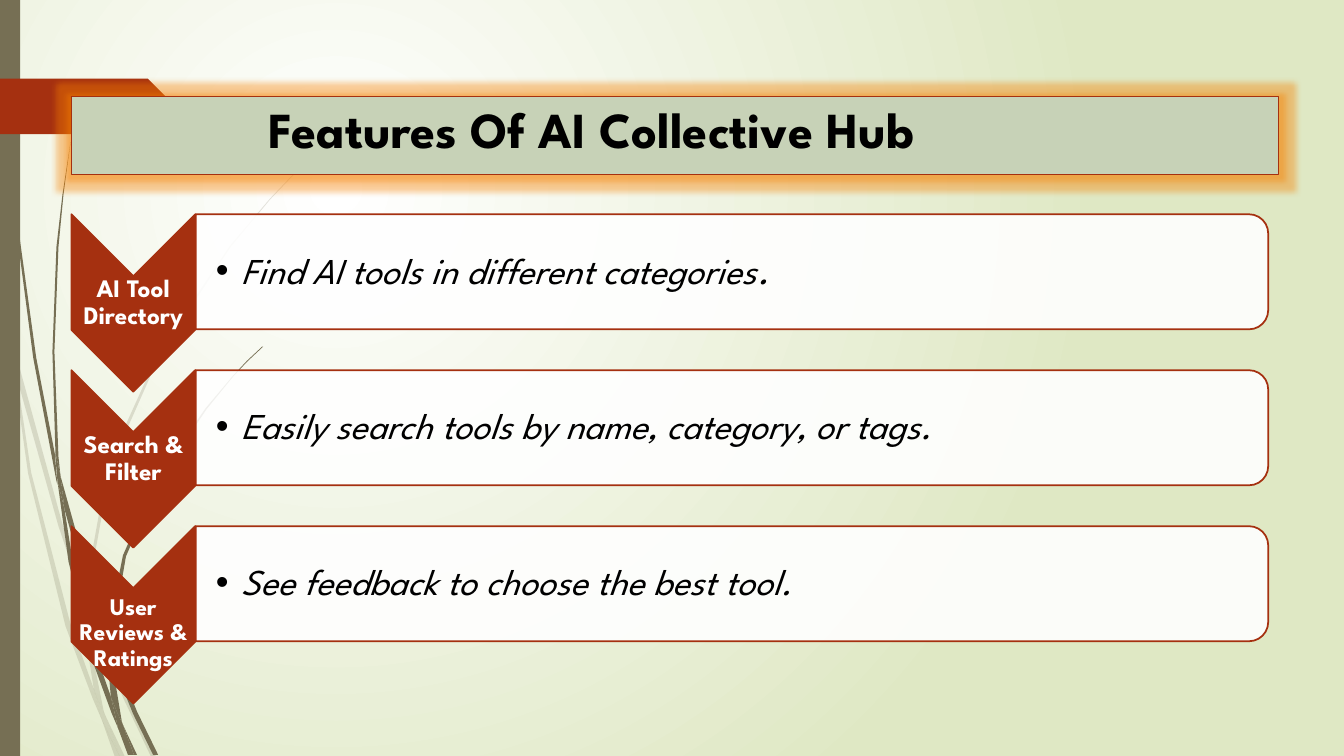
from lxml import etree
from pptx import Presentation
from pptx.dml.color import RGBColor
from pptx.enum.shapes import MSO_SHAPE
from pptx.enum.text import MSO_ANCHOR, PP_ALIGN
from pptx.oxml.ns import qn
from pptx.util import Cm, Pt

RECT, TAG = MSO_SHAPE.RECTANGLE, MSO_SHAPE.PENTAGON
CHEVRON, ROUND = MSO_SHAPE.CHEVRON, MSO_SHAPE.ROUND_2_SAME_RECTANGLE
MIDDLE, LEFT, CENTER = MSO_ANCHOR.MIDDLE, PP_ALIGN.LEFT, PP_ALIGN.CENTER

RUST = RGBColor(0xA5, 0x30, 0x10)
OLIVE = RGBColor(0x76, 0x6F, 0x54)
SAGE = RGBColor(0xC7, 0xD2, 0xB7)
LIME = RGBColor(0xDF, 0xE8, 0xC4)
WHITE = RGBColor(0xFF, 0xFF, 0xFF)
BLACK = RGBColor(0, 0, 0)
GLOW = "F58000"
FONT = "League Spartan"


def paint(shape, fill, line=None, width=1.25, alpha=100):
    shape.shadow.inherit = False
    shape.fill.solid()
    shape.fill.fore_color.rgb = fill
    if alpha < 100:
        color = shape.element.spPr.find(qn("a:solidFill"))[0]
        etree.SubElement(color, qn("a:alpha"), val=str(alpha * 1000))
    if line is None:
        shape.line.fill.background()
    else:
        shape.line.color.rgb = line
        shape.line.width = Pt(width)


def write(shape, runs, color, style, align, inset, spacing):
    frame = shape.text_frame
    frame.word_wrap = True
    frame.vertical_anchor = MIDDLE
    for side, gap in zip(("left", "top", "right", "bottom"), inset):
        setattr(frame, "margin_" + side, Cm(gap))
    para = frame.paragraphs[0]
    para.alignment, para.line_spacing = align, spacing
    for text, size in runs:
        run = para.add_run()
        run.text = text
        run.font.color.rgb = color
        for name, value in {"name": FONT, "size": Pt(size), **style}.items():
            setattr(run.font, name, value)
    return para


deck = Presentation()
deck.slide_width, deck.slide_height = Cm(33.87), Cm(19.05)
slide = deck.slides.add_slide(deck.slide_layouts[6])
shapes = slide.shapes

# Background: round gradient
back = slide.background.fill
back.gradient()
for stop, color, place in zip(back.gradient_stops, (WHITE, LIME), (0, 1)):
    stop.color.rgb, stop.position = color, place
grad = slide.element.find(".//" + qn("a:gradFill"))
grad.remove(grad.find(qn("a:lin")))
round_path = etree.SubElement(grad, qn("a:path"), path="circle")
etree.SubElement(round_path, qn("a:fillToRect"),
                 l="50000", t="50000", r="100000", b="100000")

# Grass blades: corner points on a fine grid, pale ones behind dark ones
GRID = 0.0254
pale = [
    [(11, 350), (9, 322), (0, 282), (0, 299), (10, 344)],
    [(58, 522), (84, 599), (85, 586), (62, 520), (14, 345), (17, 376)],
    [(92, 607), (88, 596), (88, 610), (123, 694), (150, 751), (155, 751), (127, 692)],
    [(119, 751), (124, 751), (105, 711)],
    [(93, 683), (70, 619), (31, 469), (17, 376), (11, 350), (28, 470), (65, 621),
     (92, 693), (101, 714), (99, 707)],
    [(84, 599), (87, 646), (93, 683), (96, 692), (105, 711), (103, 706), (91, 646),
     (88, 610), (88, 608)],
    [(88, 584), (110, 462), (160, 349), (229, 245), (268, 198), (290, 175), (312, 154),
     (312, 153), (289, 175), (268, 197), (228, 244), (158, 348), (107, 461), (85, 584),
     (85, 586), (88, 596)],
    [(101, 714), (114, 751), (119, 751)],
    [(88, 608), (88, 610), (88, 596), (85, 586), (84, 599)],
    [(96, 692), (93, 683), (99, 707), (101, 714), (119, 751), (105, 711)],
]
dark = [
    [(7, 110), (17, 233), (33, 355), (56, 477), (57, 481), (55, 457), (55, 453),
     (36, 355), (19, 232), (8, 109), (5, 48), (4, 0), (3, 0), (4, 48)],
    [(88, 592), (106, 645), (106, 631), (93, 590), (60, 472), (64, 505)],
    [(113, 649), (110, 641), (111, 656), (132, 708), (152, 749), (157, 749), (136, 706)],
    [(110, 691), (98, 657), (72, 556), (64, 505), (57, 477), (68, 557), (93, 659),
     (111, 708), (117, 722), (116, 717)],
    [(60, 472), (58, 453), (54, 349), (58, 245), (63, 193), (70, 141), (62, 193),
     (56, 245), (52, 349), (55, 449)],
    [(133, 749), (136, 749), (122, 719)],
    [(57, 477), (64, 505), (60, 472), (55, 449), (55, 453)],
    [(111, 633), (125, 552), (158, 476), (205, 406), (231, 374), (245, 359), (261, 344),
     (260, 344), (245, 358), (231, 373), (204, 405), (156, 474), (122, 551), (106, 631),
     (110, 641)],
    [(117, 722), (127, 749), (131, 749)],
    [(106, 645), (110, 691), (116, 706), (122, 719), (121, 716), (111, 656), (109, 651)],
    [(106, 645), (109, 651), (111, 656), (110, 641), (106, 631)],
    [(116, 706), (110, 691), (116, 717), (117, 722), (130, 749), (133, 749), (122, 719)],
]
for blades, alpha in ((pale, 20), (dark, 100)):
    for blade in blades:
        edge = [(Cm(x * GRID), Cm(y * GRID)) for x, y in blade]
        pen = shapes.build_freeform(*edge[0])
        pen.add_line_segments(edge[1:])
        paint(pen.convert_to_shape(), OLIVE, alpha=alpha)

# Side bar and tag
for kind, top, width, height, color in [(RECT, 0, 0.51, 19.05, OLIVE),
                                        (TAG, 1.98, 4.42, 1.4, RUST)]:
    paint(shapes.add_shape(kind, 0, Cm(top), Cm(width), Cm(height)), color)

# Title with glow
title = shapes.add_shape(RECT, Cm(1.8), Cm(2.44), Cm(30.43), Cm(1.96))
paint(title, SAGE, RUST, 0.75)
glow = etree.SubElement(title.element.spPr.find(qn("a:effectLst")),
                        qn("a:glow"), rad=str(Pt(8)))
tint = etree.SubElement(glow, qn("a:srgbClr"), val=GLOW)
etree.SubElement(tint, qn("a:alpha"), val="40000")
write(title, [("Features Of AI Collective Hub", 36)], BLACK, {"bold": True},
      LEFT, (4.98, 0.13, 0.25, 0.13), 0.7)

# Features: chevron, label, bar and bullet
features = [
    ("AI Tool Directory", 18, 0, [("Find AI tools in different categories", 26), (".", 28)]),
    ("Search & Filter", 18, 0, [("Easily search tools by name, category, or tags.", 26)]),
    ("User Reviews & Ratings", 17, 0.46, [("See feedback to choose the best tool.", 26)]),
]
for row, (label, size, drop, detail) in enumerate(features):
    top = 5.4 + 3.93 * row
    for kind, left, width, height, color, alpha in [
            (CHEVRON, 1.8, 3.12, 4.47, RUST, 100),
            (ROUND, 4.93, 27.03, 2.9, WHITE, 90)]:
        shape = shapes.add_shape(kind, Cm(left + (width - height) / 2),
                                 Cm(top + (height - width) / 2), Cm(height), Cm(width))
        shape.rotation = 90
        paint(shape, color, RUST, alpha=alpha)
    box = shapes.add_textbox(Cm(1.8), Cm(top + 1.56 + drop), Cm(3.12), Cm(1.35))
    write(box, [(label, size)], WHITE, {"bold": True}, CENTER, [0.03] * 4, 0.9)
    box = shapes.add_textbox(Cm(4.93), Cm(top + 0.14), Cm(26.9), Cm(2.62))
    para = write(box, detail, BLACK, {"italic": True}, LEFT, (0.51, 0.05, 0.05, 0.05), 0.9)
    props = para._p.get_or_add_pPr()
    props.set("marL", str(Cm(0.64)))
    props.set("indent", str(Cm(-0.64)))
    etree.SubElement(props, qn("a:buFont"), typeface="Arial")
    etree.SubElement(props, qn("a:buChar"), char="•")

deck.save("out.pptx")
